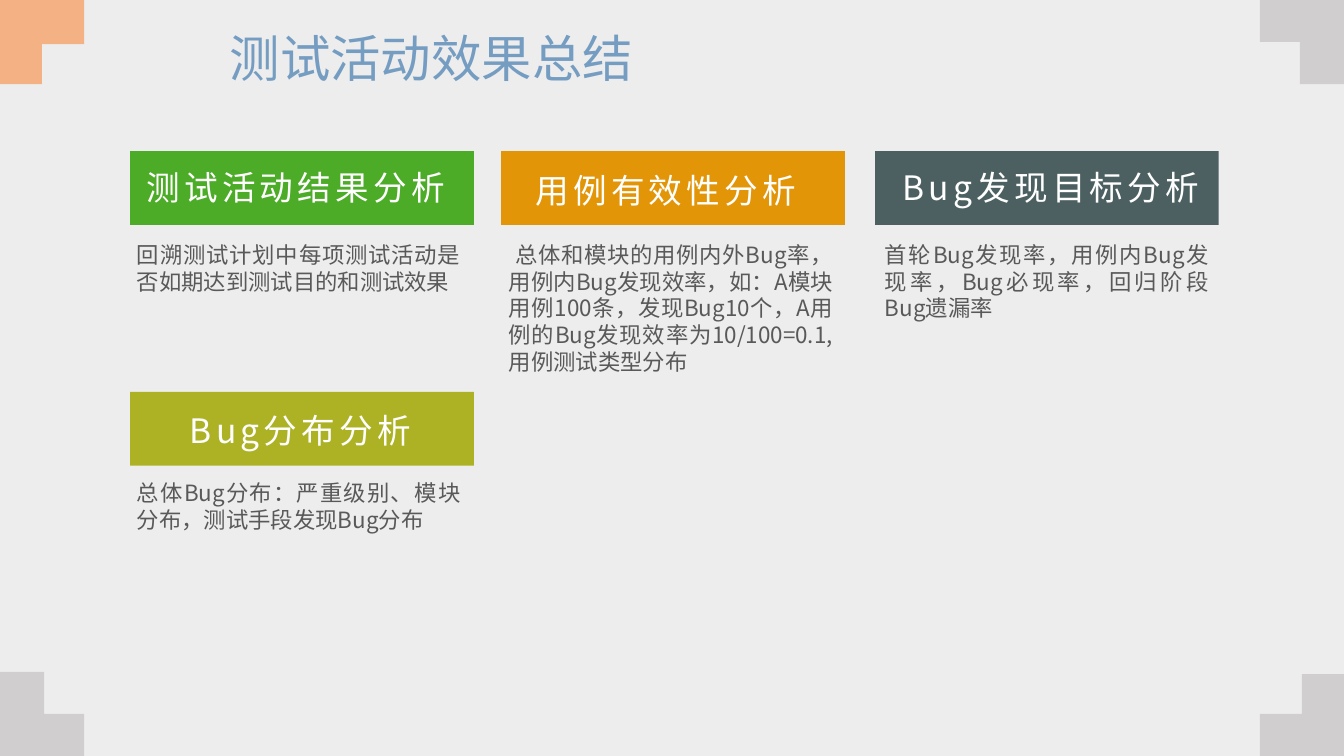
from dataclasses import dataclass

from pptx import Presentation
from pptx.dml.color import RGBColor
from pptx.enum.shapes import MSO_SHAPE as Preset
from pptx.enum.text import MSO_ANCHOR as Anchor, MSO_AUTO_SIZE as AutoSize, PP_ALIGN as Align
from pptx.oxml.ns import qn
from pptx.slide import Slide
from pptx.text.text import TextFrame
from pptx.util import Pt

FONT = "Noto Sans CJK SC"
PAGE_GREY = RGBColor(0xED, 0xED, 0xED)
CORNER_GREY = RGBColor(0xD0, 0xCE, 0xCE)
PEACH = RGBColor(0xF4, 0xB1, 0x83)
GREEN = RGBColor(0x4C, 0xAB, 0x27)
ORANGE = RGBColor(0xE3, 0x95, 0x08)
SLATE = RGBColor(0x4C, 0x60, 0x62)
OLIVE = RGBColor(0xAD, 0xB2, 0x25)
TITLE_BLUE = RGBColor(0x75, 0x9D, 0xC2)
BODY_GREY = RGBColor(0x59, 0x59, 0x59)
WHITE = RGBColor(0xFF, 0xFF, 0xFF)

PAGE_WIDTH, PAGE_HEIGHT = 960, 540
CORNER_SIZE = 60
CARD_WIDTH, BANNER_HEIGHT = 245.5, 52.6
HEADING_HEIGHT = 36


@dataclass(frozen=True)
class Corner:
    """L-shaped ornament: outer corner, inward direction, arm thicknesses."""
    x: float
    y: float
    inward_x: int
    inward_y: int
    upright: float
    crossbar: float
    color: RGBColor


@dataclass(frozen=True)
class Card:
    """A coloured banner with its heading and the explanation below."""
    heading: str
    explanation: str
    color: RGBColor
    left: float
    top: float
    heading_left: float
    heading_top: float
    heading_width: float
    body_left: float
    body_top: float
    body_height: float


CORNERS = [
    Corner(0, PAGE_HEIGHT, 1, -1, 31.5, 30, CORNER_GREY),
    Corner(0, 0, 1, 1, 30, 31.5, PEACH),
    Corner(PAGE_WIDTH, 0, -1, 1, 31.5, 30, CORNER_GREY),
    Corner(PAGE_WIDTH, PAGE_HEIGHT + 1.5, -1, -1, 30, 31.5, CORNER_GREY),
]

CARDS = [
    Card("测试活动结果分析", "回溯测试计划中每项测试活动是否如期达到测试目的和测试效果",
         GREEN, 93, 108, 95, 116, 232.5, 90.7, 168.5, 46),
    Card("用例有效性分析",
         " 总体和模块的用例内外Bug率，用例内Bug发现效率，如：A模块用例100条，发现Bug10个，"
         "A用例的Bug发现效率为10/100=0.1,用例测试类型分布",
         ORANGE, 358, 108, 373, 118, 205.2, 356.4, 168.5, 104.4),
    Card("Bug发现目标分析", "首轮Bug发现率，用例内Bug发现率，Bug必现率，回归阶段Bug遗漏率",
         SLATE, 625, 108, 634.3, 116, 232.5, 625, 168.5, 65.5),
    Card("Bug分布分析", "总体Bug分布：严重级别、模块分布，测试手段发现Bug分布",
         OLIVE, 93, 280, 125.3, 289.5, 178.5, 90.7, 339, 46),
]


def add_text(slide: Slide, text: str, left: float, top: float, width: float, height: float,
             size: float, color: RGBColor, align: Align, wrap: bool = True,
             tracking: float = 0) -> TextFrame:
    """Add a one-paragraph text box and return its text frame."""
    frame = slide.shapes.add_textbox(Pt(left), Pt(top), Pt(width), Pt(height)).text_frame
    frame.text = text
    frame.word_wrap = wrap
    paragraph = frame.paragraphs[0]
    paragraph.alignment = align
    font = paragraph.runs[0].font
    font.size, font.name, font.color.rgb = Pt(size), FONT, color
    properties = paragraph.runs[0]._r.get_or_add_rPr()
    east_asian = properties.makeelement(qn("a:ea"), {"typeface": FONT})
    properties.find(qn("a:latin")).addnext(east_asian)
    if tracking:
        properties.set("spc", str(int(tracking * 100)))
    return frame


def add_corner(slide: Slide, corner: Corner) -> None:
    """Draw an L-shaped ornament growing inward from its outer corner."""
    steps = [(0, 0), (CORNER_SIZE, 0), (CORNER_SIZE, corner.crossbar),
             (corner.upright, corner.crossbar), (corner.upright, CORNER_SIZE), (0, CORNER_SIZE)]
    points = [(Pt(corner.x + corner.inward_x * across), Pt(corner.y + corner.inward_y * down))
              for across, down in steps]
    builder = slide.shapes.build_freeform(*points[0])
    builder.add_line_segments(points[1:], close=True)
    ornament = builder.convert_to_shape()
    ornament.shadow.inherit = False
    ornament.fill.solid()
    ornament.fill.fore_color.rgb = corner.color
    ornament.line.fill.background()


def add_card(slide: Slide, card: Card) -> None:
    """Draw a banner, its heading and its explanation."""
    banner = slide.shapes.add_shape(Preset.RECTANGLE, Pt(card.left), Pt(card.top),
                                    Pt(CARD_WIDTH), Pt(BANNER_HEIGHT))
    banner.shadow.inherit = False
    banner.fill.solid()
    banner.fill.fore_color.rgb = card.color
    banner.line.fill.background()
    explanation = add_text(slide, card.explanation, card.body_left, card.body_top, CARD_WIDTH,
                           card.body_height, 16, BODY_GREY, Align.JUSTIFY)
    heading = add_text(slide, card.heading, card.heading_left, card.heading_top,
                       card.heading_width, HEADING_HEIGHT, 24, WHITE, Align.CENTER,
                       wrap=False, tracking=3)
    for frame in (explanation, heading):
        frame.auto_size = AutoSize.SHAPE_TO_FIT_TEXT


def build() -> None:
    """Build the slide and save it."""
    deck = Presentation()
    deck.slide_width, deck.slide_height = Pt(PAGE_WIDTH), Pt(PAGE_HEIGHT)
    slide = deck.slides.add_slide(deck.slide_layouts[6])
    slide.background.fill.solid()
    slide.background.fill.fore_color.rgb = PAGE_GREY
    for corner in CORNERS:
        add_corner(slide, corner)
    for card in CARDS:
        add_card(slide, card)
    title = add_text(slide, "测试活动效果总结", 157, 20, 646.5, 48, 36, TITLE_BLUE, Align.LEFT)
    title.vertical_anchor = Anchor.MIDDLE
    title.paragraphs[0].line_spacing = 0.9
    deck.save("out.pptx")


build()
